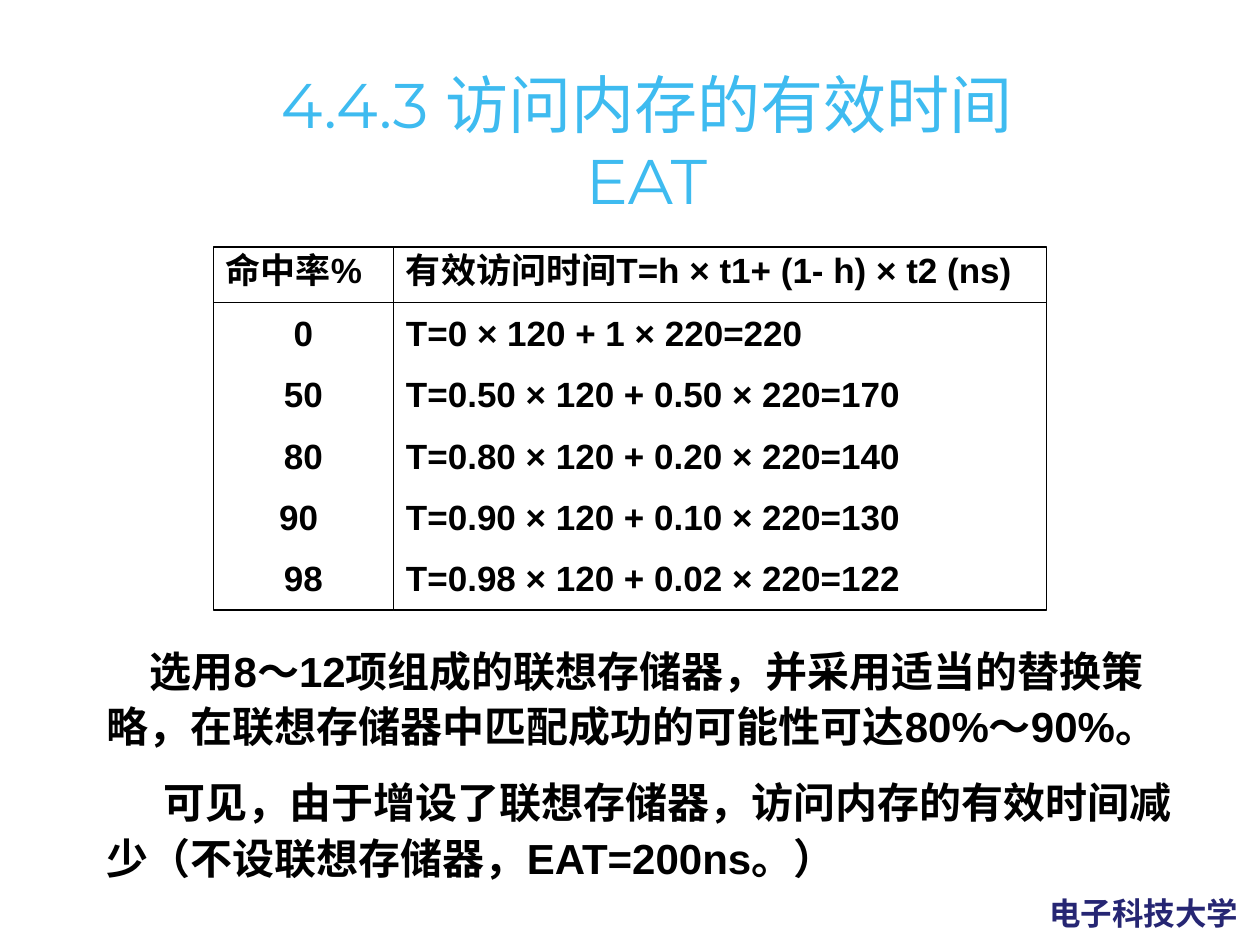
"""Build the slide on effective memory access time."""
from pptx import Presentation
from pptx.dml.color import RGBColor
from pptx.enum.shapes import MSO_SHAPE
from pptx.enum.text import MSO_ANCHOR, PP_ALIGN
from pptx.util import Pt

RECT, TOP = MSO_SHAPE.RECTANGLE, MSO_ANCHOR.TOP
LEFT, CENTER = PP_ALIGN.LEFT, PP_ALIGN.CENTER
HUES = {"text": "000000", "title": "3EBBF0", "school": "262673"}

TITLE = ["4.4.3 访问内存的有效时间", "EAT"]
SCHOOL = "电子科技大学"
COLS = [
    (103, CENTER, "命中率%", ["0", "50", "80", "90 ", "98"]),
    (373, LEFT, "有效访问时间T=h × t1+ (1- h) × t2 (ns)", [
        "T=0 × 120 + 1 × 220=220",
        "T=0.50 × 120 + 0.50 × 220=170",
        "T=0.80 × 120 + 0.20 × 220=140",
        "T=0.90 × 120 + 0.10 × 220=130",
        "T=0.98 × 120 + 0.02 × 220=122",
    ]),
]
NOTES = [
    (24.5, "选用8～12项组成的联想存储器，并采用适当的替换策略，在联想存储器中匹配成功的可能性可达80%～90%。"),
    (32.5, "可见，由于增设了联想存储器，访问内存的有效时间减少（不设联想存储器，EAT=200ns。）"),
]
GRID_X, GRID_Y = 121.9, 141.2
HEAD, BODY = 31.7, 175.7


def write(para, text, size, hue="text", face="Arial", bold=True):
    run = para.add_run()
    run.text = text
    font = run.font
    font.name, font.size, font.bold = face, Pt(size), bold
    font.color.rgb = RGBColor.from_string(HUES[hue])


def next_para(frame, num):
    return frame.add_paragraph() if num else frame.paragraphs[0]


def add_box(slide, area, wrap=True):
    frame = slide.shapes.add_textbox(*map(Pt, area)).text_frame
    frame.word_wrap = wrap
    frame.vertical_anchor = TOP
    return frame


def add_cell(slide, area, lines, align, inset):
    cell = slide.shapes.add_shape(RECT, *map(Pt, area))
    cell.shadow.inherit = False
    cell.fill.background()
    cell.line.color.rgb = RGBColor.from_string(HUES["text"])
    cell.line.width = Pt(0.75)
    frame = cell.text_frame
    frame.word_wrap = True
    frame.vertical_anchor = TOP
    frame.margin_top, frame.margin_bottom = Pt(inset), Pt(0)
    for num, text in enumerate(lines):
        para = next_para(frame, num)
        para.alignment = align
        para.space_before = Pt(11 if num else 0)
        write(para, text, 20)


def add_grid(slide):
    left = GRID_X
    for width, align, head, lines in COLS:
        add_cell(slide, (left, GRID_Y + HEAD, width, BODY), lines, align, 5.2)
        add_cell(slide, (left, GRID_Y, width, HEAD), [head], LEFT, 0.8)
        left += width


def main():
    deck = Presentation()
    deck.slide_width, deck.slide_height = Pt(720), Pt(540)
    slide = deck.slides.add_slide(deck.slide_layouts[6])

    school = add_box(slide, (592.6, 507.6, 124.6, 28.8), wrap=False)
    write(school.paragraphs[0], SCHOOL, 18, "school")

    add_grid(slide)

    notes = add_box(slide, (54, 362.2, 623.5, 147.6))
    for num, (indent, text) in enumerate(NOTES):
        para = next_para(notes, num)
        para.line_spacing = 1.1
        para.space_before = Pt(12 if num else 0)
        para._p.get_or_add_pPr().set("indent", str(Pt(indent)))
        write(para, text, 24)

    title = add_box(slide, (63.4, 34.1, 612, 90))
    for num, text in enumerate(TITLE):
        para = next_para(title, num)
        para.alignment = CENTER
        write(para, text, 36, "title", "Montserrat", False)

    deck.save("out.pptx")


if __name__ == "__main__":
    main()
